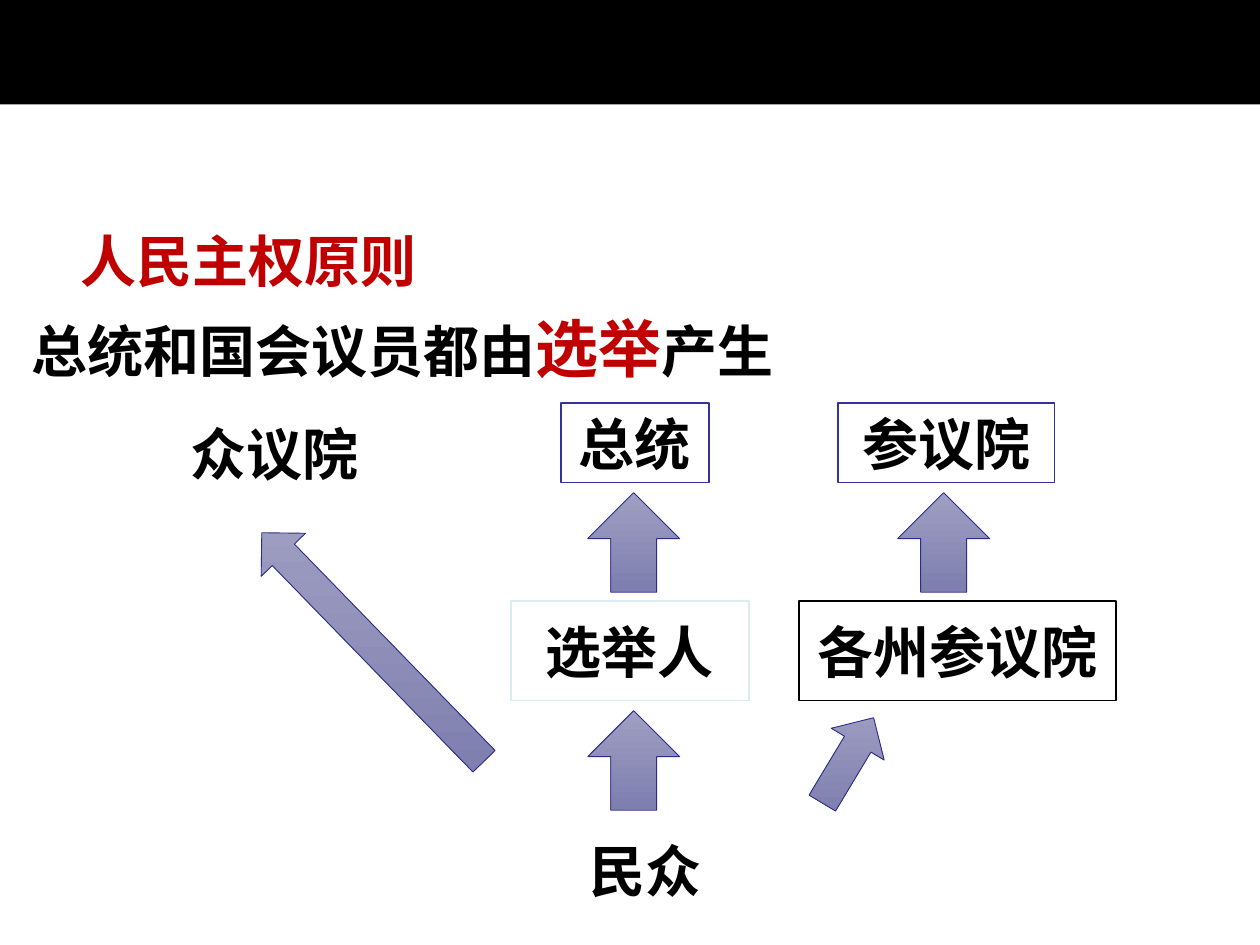
from lxml import etree
from pptx import Presentation
from pptx import util as u
from pptx.dml.color import RGBColor
from pptx.enum import shapes, text
from pptx.oxml.ns import qn

# All lengths are in tenths of the slide's width
SLIDE_WIDTH = u.Inches(10)
SLIDE_HEIGHT = u.Inches(7.5)
FONT = "Noto Sans CJK JP"
BLACK, WHITE, RED, NAVY = "000000", "FFFFFF", "C00000", "333399"

# Diagram rows: top and height
OFFICES, ELECTORS, PEOPLE = (3.2, 0.63), (4.77, 0.79), (6.51, 0.79)
HOUSE_ROW = (3.2, 0.79)
UPPER_ARROWS, LOWER_ARROWS = (3.91, 0.79), (5.64, 0.79)
LONG_ARROW = (3.87, 2.53)
# Diagram columns: centres
HOUSE, PRESIDENT, SENATE = 2.18, 5.03, 7.49


def tenths(count):
    return round(SLIDE_WIDTH * count / 10)


def colour(hex_code):
    return RGBColor.from_string(hex_code)


def add_box(slide, preset, centre, row, width):
    top, height = row
    box = slide.shapes.add_shape(
        preset, tenths(centre - width / 2), tenths(top), tenths(width), tenths(height))
    box.shadow.inherit = False
    return box


def style_paragraph(paragraph, hex_code):
    font = paragraph.font
    font.size, font.bold, font.name = u.Pt(32), True, FONT
    font.color.rgb = colour(hex_code)
    defaults = paragraph._p.pPr.find(qn("a:defRPr"))
    etree.SubElement(defaults, qn("a:ea")).set("typeface", FONT)


def add_heading(slide, left, top, width, height, hex_code, *pieces):
    box = slide.shapes.add_textbox(*map(tenths, (left, top, width, height)))
    frame = box.text_frame
    frame.word_wrap = True
    paragraph = frame.paragraphs[0]
    for piece in pieces:
        paragraph.add_run().text = piece
    style_paragraph(paragraph, hex_code)
    return paragraph


def add_body(slide, label, centre, row, width, border):
    box = add_box(slide, shapes.MSO_SHAPE.RECTANGLE, centre, row, width)
    box.fill.solid()
    box.fill.fore_color.rgb = colour(WHITE)
    box.line.color.rgb = colour(border)
    box.line.width = u.Pt(1)
    frame = box.text_frame
    frame.vertical_anchor = text.MSO_ANCHOR.MIDDLE
    paragraph = frame.paragraphs[0]
    paragraph.text = label
    paragraph.alignment = text.PP_ALIGN.CENTER
    style_paragraph(paragraph, BLACK)


def add_arrow(slide, centre, row, width=0.73, turn=0):
    arrow = add_box(slide, shapes.MSO_SHAPE.UP_ARROW, centre, row, width)
    arrow.rotation = turn % 360
    arrow.fill.gradient()
    # The shading runs down the slide however the arrow is turned
    arrow.fill.gradient_angle = (270 + turn) % 360
    for stop, shade in zip(arrow.fill.gradient_stops, ("9F9FC3", "7E7EAF")):
        stop.color.rgb = colour(shade)
    arrow.line.color.rgb = colour("2D2D89")
    arrow.line.width = u.Pt(0.5)


def main():
    deck = Presentation()
    deck.slide_width, deck.slide_height = SLIDE_WIDTH, SLIDE_HEIGHT
    slide = deck.slides.add_slide(deck.slide_layouts[6])

    # Top band
    band = add_box(slide, shapes.MSO_SHAPE.RECTANGLE, 5, (-0.03, 0.86), 10)
    band.fill.solid()
    band.fill.fore_color.rgb = colour(BLACK)
    band.line.fill.background()

    # Headings, with a little room to spare on the right
    add_heading(slide, 0.44, 1.75, 3.1, 0.64, RED, " 人民主权原则")
    claim = add_heading(slide, 0.15, 2.41, 6.25, 0.7, BLACK,
                        "总统和国会议员都由", "选举", "产生")
    election = claim.runs[1].font
    election.size = u.Pt(36)
    election.color.rgb = colour(RED)

    # Who elects whom
    for label, centre, row, width, border in (
        ("民众", 5.12, PEOPLE, 3.47, WHITE),
        ("选举人", 5, ELECTORS, 1.89, "D9EDEE"),
        ("总统", 5.04, OFFICES, 1.18, NAVY),
        ("众议院", HOUSE, HOUSE_ROW, 2.24, WHITE),
        ("各州参议院", 7.6, ELECTORS, 2.52, BLACK),
        ("参议院", 7.51, OFFICES, 1.72, NAVY),
    ):
        add_body(slide, label, centre, row, width, border)

    # Arrows from voters up to offices
    for centre in (PRESIDENT, SENATE):
        add_arrow(slide, centre, UPPER_ARROWS)
    add_arrow(slide, PRESIDENT, LOWER_ARROWS)
    add_arrow(slide, 2.96, LONG_ARROW, 0.49, -44.2)
    add_arrow(slide, 6.73, LOWER_ARROWS, 0.49, 31)

    deck.save("out.pptx")


if __name__ == "__main__":
    main()
